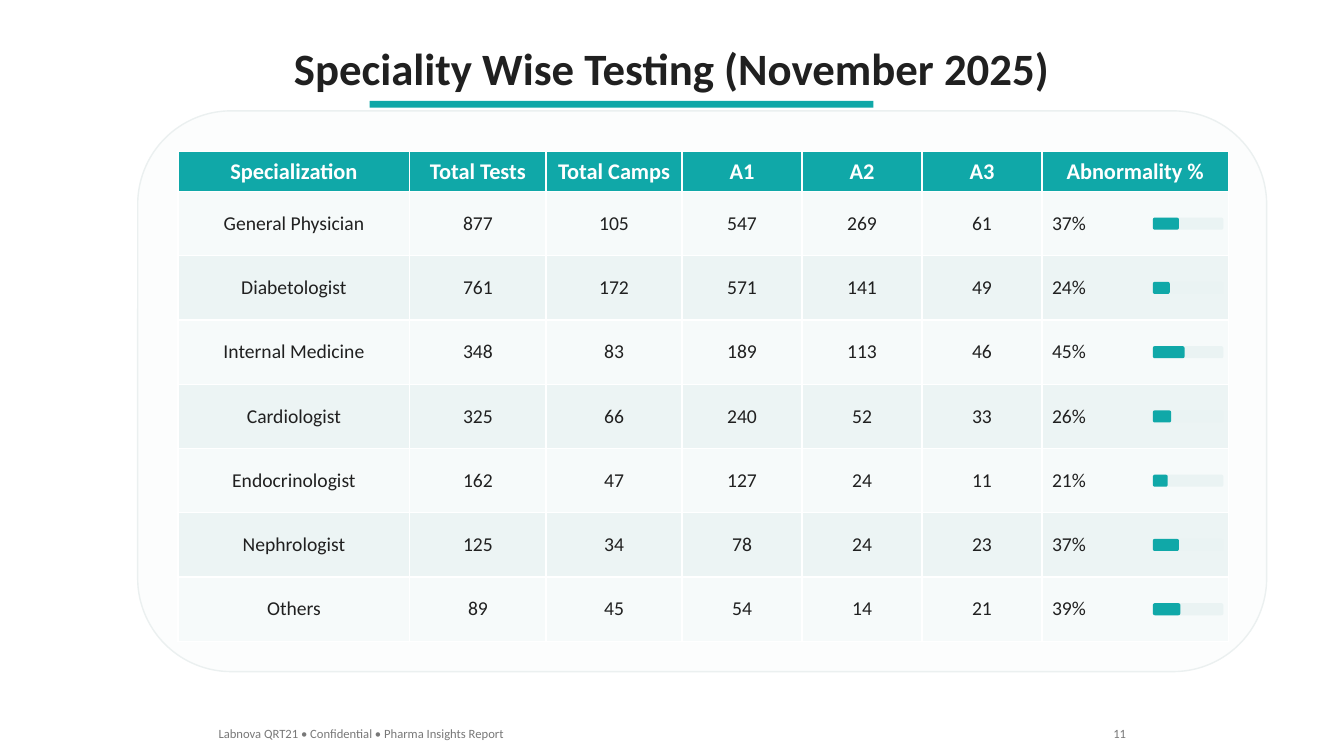
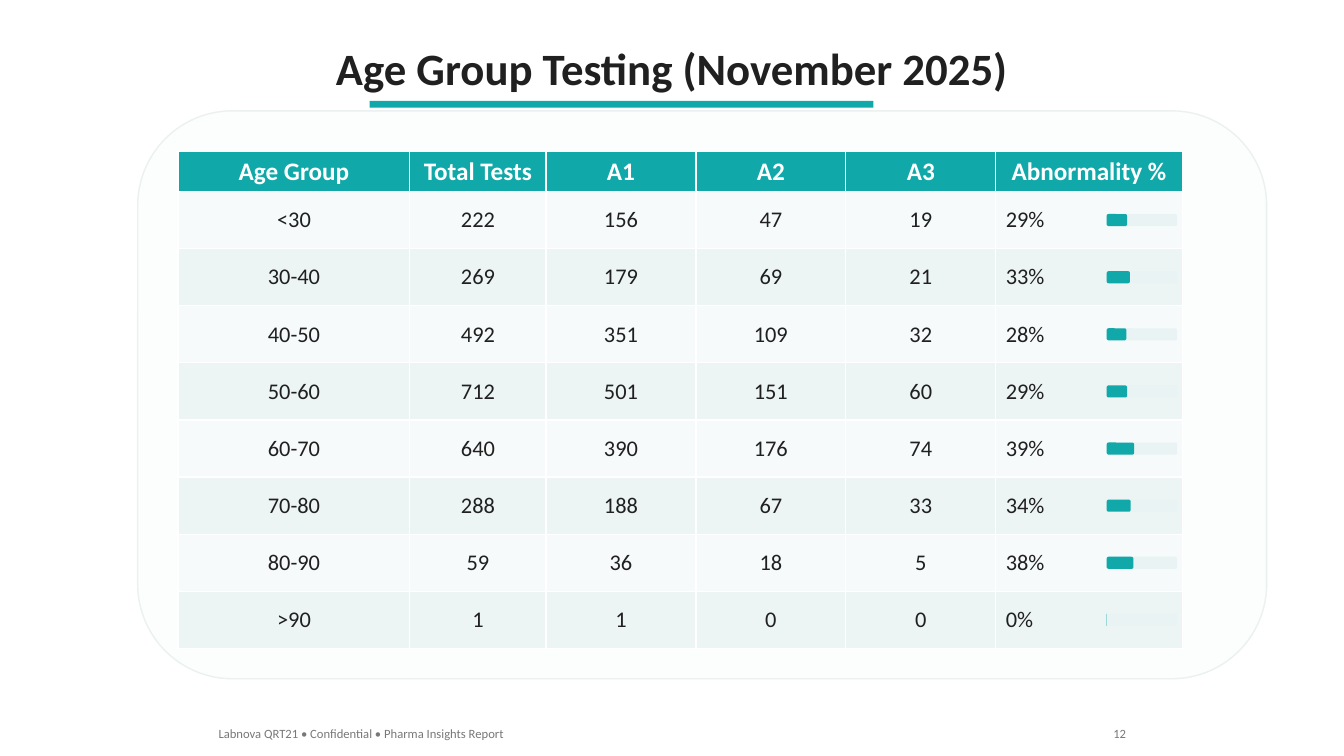
import pptx
import pptx.util
import pptx.dml.color
import pptx.enum.shapes
import pptx.enum.text

Pt = pptx.util.Pt
SHAPE = pptx.enum.shapes.MSO_SHAPE
ALIGN = pptx.enum.text.PP_ALIGN
ANCHOR = pptx.enum.text.MSO_ANCHOR

COLORS = {
    "teal": "10A8A8",
    "ink": "202020",
    "muted": "787878",
    "white": "FFFFFF",
    "panel": "FCFDFD",
    "panel_line": "EBF0F0",
    "row_odd": "F6FAFA",
    "row_even": "ECF4F4",
    "track": "EAF3F3",
}
FONT = "Calibri"
SLIDE_W, SLIDE_H = 960, 540
PANEL_X, PANEL_Y, PANEL_W = 98.4, 79.2, 806.4
PAD, PAD_BOTTOM = 28.8, 21.6
HEADER_H = 28.8
NAME_W, TOTAL_W, ABNORMAL_W = 165.6, 97.2, 133.2
BAR_W, BAR_H, BAR_GAP = 50.4, 8.64, 3.6
FOOTER = "Labnova QRT21 • Confidential • Pharma Insights Report"

SPECIALITY = {
    "title": "Speciality Wise Testing (November 2025)",
    "number": 11,
    "widths": [NAME_W] + [TOTAL_W] * 2 + [85.7] * 3 + [ABNORMAL_W],
    "row_h": 45.9,
    "sizes": (16, 14),
    "header": ["Specialization", "Total Tests", "Total Camps", "A1", "A2", "A3", "Abnormality %"],
    "rows": [
        ("General Physician", 877, 105, 547, 269, 61, 37),
        ("Diabetologist", 761, 172, 571, 141, 49, 24),
        ("Internal Medicine", 348, 83, 189, 113, 46, 45),
        ("Cardiologist", 325, 66, 240, 52, 33, 26),
        ("Endocrinologist", 162, 47, 127, 24, 11, 21),
        ("Nephrologist", 125, 34, 78, 24, 23, 37),
        ("Others", 89, 45, 54, 14, 21, 39),
    ],
}
AGE_GROUP = {
    "title": "Age Group Testing (November 2025)",
    "number": 12,
    "widths": [NAME_W, TOTAL_W] + [107.1] * 3 + [ABNORMAL_W],
    "row_h": 40.8,
    "sizes": (18, 16),
    "header": ["Age Group", "Total Tests", "A1", "A2", "A3", "Abnormality %"],
    "rows": [
        ("<30", 222, 156, 47, 19, 29),
        ("30-40", 269, 179, 69, 21, 33),
        ("40-50", 492, 351, 109, 32, 28),
        ("50-60", 712, 501, 151, 60, 29),
        ("60-70", 640, 390, 176, 74, 39),
        ("70-80", 288, 188, 67, 33, 34),
        ("80-90", 59, 36, 18, 5, 38),
        (">90", 1, 1, 0, 0, 0),
    ],
}


def rgb(name):
    return pptx.dml.color.RGBColor.from_string(COLORS[name])


def write(tf, text, size, color, bold=False, align=ALIGN.LEFT):
    tf.text = text
    p = tf.paragraphs[0]
    p.alignment = align
    font = p.runs[0].font
    font.name, font.size, font.bold = FONT, Pt(size), bold
    font.color.rgb = rgb(color)


def add_text(s, x, y, w, h, text, size, color, **style):
    tf = s.shapes.add_textbox(Pt(x), Pt(y), Pt(w), Pt(h)).text_frame
    tf.word_wrap = True
    write(tf, text, size, color, **style)


def add_box(s, kind, x, y, w, h, fill, line=None):
    sp = s.shapes.add_shape(kind, Pt(x), Pt(y), Pt(w), Pt(h))
    sp.shadow.inherit = False
    sp.fill.solid()
    sp.fill.fore_color.rgb = rgb(fill)
    if line:
        sp.line.color.rgb = rgb(line)
        sp.line.width = Pt(1)
    else:
        sp.line.fill.background()


def add_title(s, text):
    add_text(s, 0, 25.2, SLIDE_W, 46, text, 32, "ink", bold=True, align=ALIGN.CENTER)
    add_box(s, SHAPE.RECTANGLE, 264, 72, 360, 5, "teal")


def add_footer(s, number):
    add_text(s, 149, 515, 240, 18, FOOTER, 9, "muted")
    add_text(s, 771.4, 515, 40, 18, str(number), 9, "muted", align=ALIGN.RIGHT)


def fill_cell(cell, text, fill, size, color, **style):
    cell.fill.solid()
    cell.fill.fore_color.rgb = rgb(fill)
    cell.vertical_anchor = ANCHOR.MIDDLE
    write(cell.text_frame, text, size, color, **style)


def add_results_table(s, x, y, w, h, data):
    header, rows = data["header"], data["rows"]
    head_size, body_size = data["sizes"]
    table = s.shapes.add_table(len(rows) + 1, len(header), Pt(x), Pt(y), Pt(w), Pt(h)).table
    for column, width in zip(table.columns, data["widths"]):
        column.width = Pt(width)
    for i, row in enumerate(table.rows):
        row.height = Pt(data["row_h"] if i else HEADER_H)
    for j, label in enumerate(header):
        fill_cell(table.cell(0, j), label, "teal", head_size, "white",
                  bold=True, align=ALIGN.CENTER)
    for i, (*values, percent) in enumerate(rows, 1):
        fill = "row_odd" if i % 2 else "row_even"
        for j, value in enumerate(values):
            fill_cell(table.cell(i, j), str(value), fill, body_size, "ink", align=ALIGN.CENTER)
        fill_cell(table.cell(i, len(values)), f"{percent}%", fill, body_size, "ink")


def add_abnormality_bars(s, right, y, row_h, percents):
    """Place one progress bar per row, centred in the row and ending at right."""
    x = right - BAR_W
    for i, percent in enumerate(percents):
        top = y + (i + 0.5) * row_h - BAR_H / 2
        add_box(s, SHAPE.ROUNDED_RECTANGLE, x, top, BAR_W, BAR_H, "track")
        add_box(s, SHAPE.ROUNDED_RECTANGLE, x, top, max(BAR_W * percent / 100, 0.1), BAR_H, "teal")


def add_results_slide(prs, data):
    s = prs.slides.add_slide(prs.slide_layouts[6])
    x, y = PANEL_X + PAD, PANEL_Y + PAD
    w = sum(data["widths"])
    h = HEADER_H + data["row_h"] * len(data["rows"])
    add_title(s, data["title"])
    add_box(s, SHAPE.ROUNDED_RECTANGLE, PANEL_X, PANEL_Y, PANEL_W, h + PAD + PAD_BOTTOM,
            "panel", "panel_line")
    add_results_table(s, x, y, w, h, data)
    add_abnormality_bars(s, x + w - BAR_GAP, y + HEADER_H, data["row_h"],
                         [row[-1] for row in data["rows"]])
    add_footer(s, data["number"])


def main():
    prs = pptx.Presentation()
    prs.slide_width, prs.slide_height = Pt(SLIDE_W), Pt(SLIDE_H)
    for data in (SPECIALITY, AGE_GROUP):
        add_results_slide(prs, data)
    prs.save("out.pptx")


if __name__ == "__main__":
    main()
